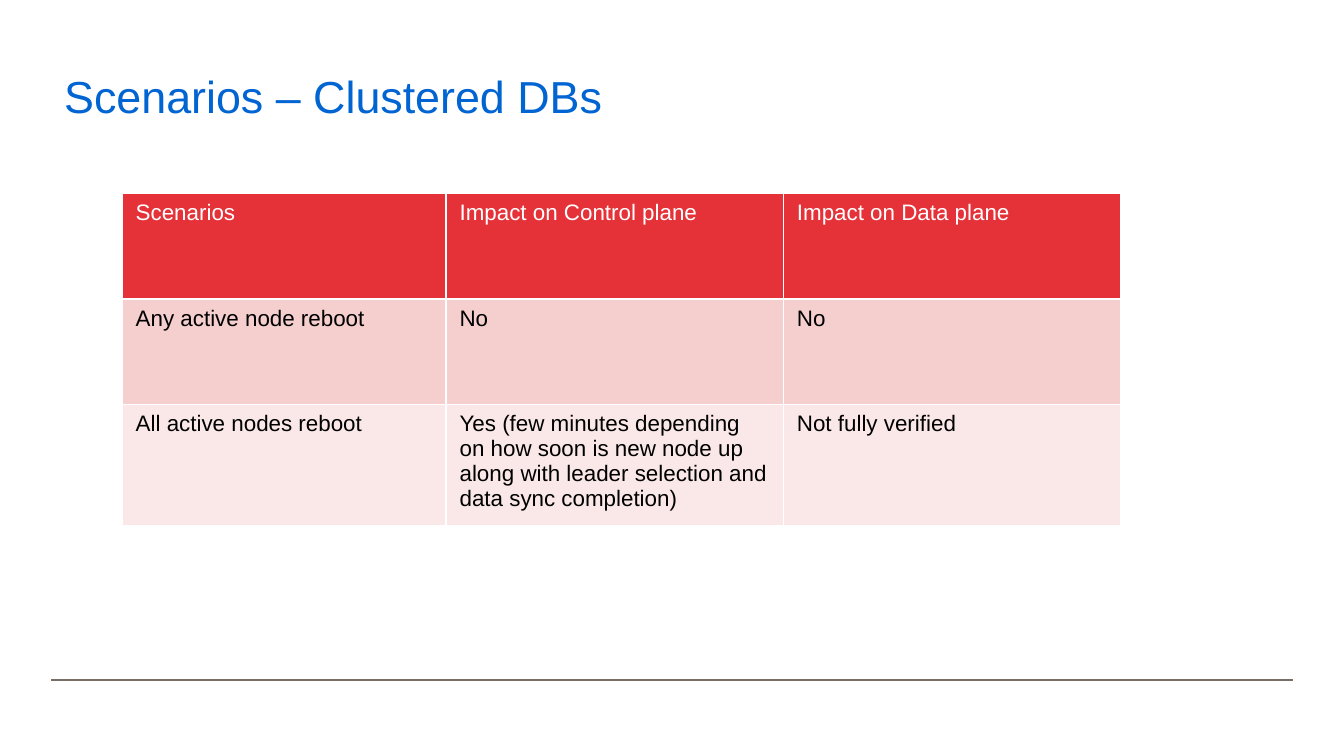
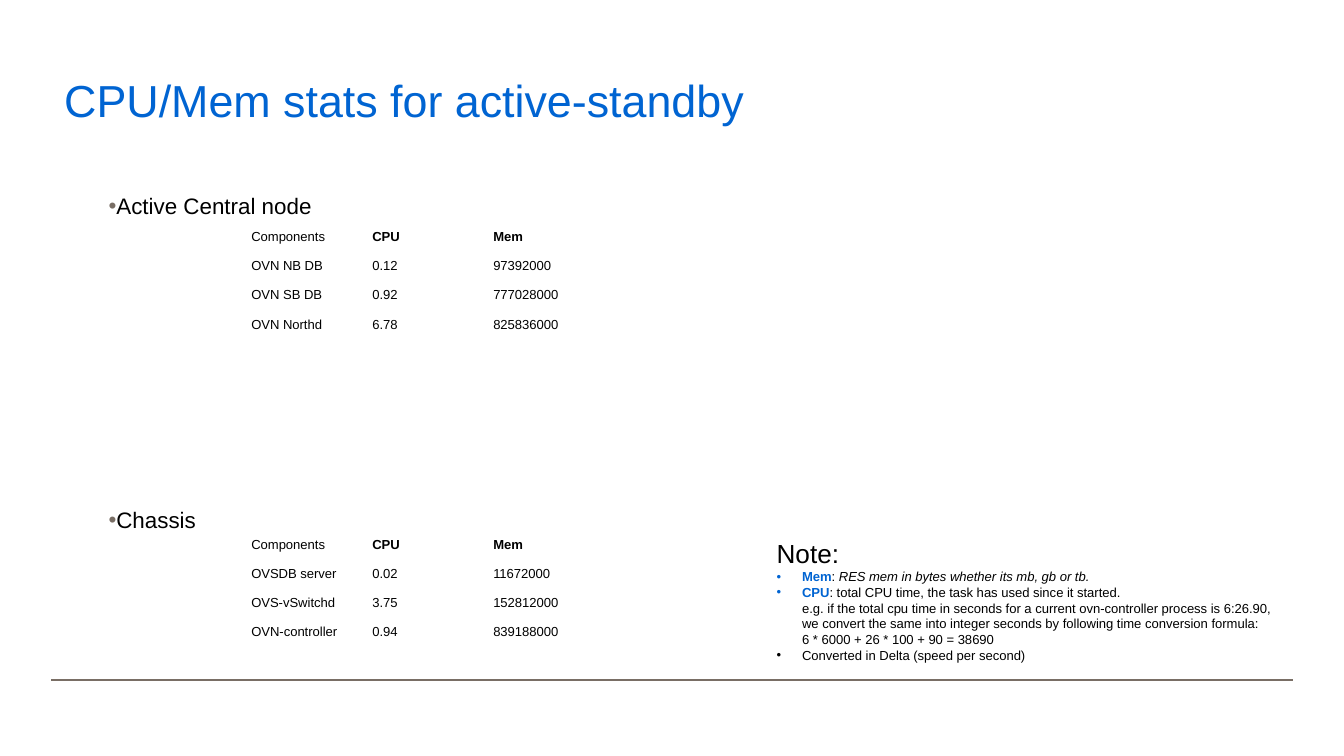
from dataclasses import dataclass
from typing import Any, NamedTuple, Sequence

import lxml.etree
import pptx
import pptx.dml.color
import pptx.enum.shapes
import pptx.enum.text
import pptx.oxml.ns
import pptx.util

FONT = "Arial"
COLORS = {
    "title": "0064D2",
    "rule": "796E65",
    "text": "000000",
    "white": "FFFFFF",
    "header": "E53238",
    "band_dark": "F5CECE",
    "band_light": "FAE8E8",
}
GRID_CELL = 0.1
MARGIN_COL = 3.8
CONTENT_COLS = 92.4


class Area(NamedTuple):
    col: float
    row: float
    cols: float
    rows: float


class Run(NamedTuple):
    text: str
    color: str = "text"
    bold: bool = False
    italic: bool = False


@dataclass(frozen=True)
class Paragraph:
    runs: Sequence[Run]
    size: float
    bullet: bool = False
    bullet_color: str = ""
    margin: float = 0
    indent: float = 0
    space_before: float = 0


@dataclass(frozen=True)
class TableBlock:
    area: Area
    col_widths: Sequence[float]
    row_height: float
    rows: Sequence[Sequence[str]]
    size: float
    fills: Sequence[str] = ()
    header_color: str = "text"
    bold_headers: Sequence[str] = ()


def grid(cells: float) -> int:
    return pptx.util.Inches(cells * GRID_CELL)


def rgb(name: str) -> pptx.dml.color.RGBColor:
    return pptx.dml.color.RGBColor.from_string(COLORS[name])


def sub(parent: Any, tag: str, **attributes: Any) -> Any:
    return lxml.etree.SubElement(
        parent,
        pptx.oxml.ns.qn(tag),
        {key: str(value) for key, value in attributes.items()},
    )


def format_bullet(paragraph: Any, style: Paragraph) -> None:
    properties = paragraph._p.get_or_add_pPr()
    properties.set("marL", str(grid(style.margin)))
    properties.set("indent", str(grid(style.indent)))
    if style.bullet_color:
        sub(sub(properties, "a:buClr"), "a:srgbClr", val=COLORS[style.bullet_color])
    sub(properties, "a:buFont", typeface=FONT)
    sub(properties, "a:buChar", char="•")


def add_text(paragraph: Any, text: str, *, size: float, color: str = "text",
             bold: bool = False, italic: bool = False) -> None:
    for index, line in enumerate(text.split("\n")):
        if index:
            paragraph.add_line_break()
        run = paragraph.add_run()
        run.text = line
        run.font.name = FONT
        run.font.size = pptx.util.Pt(size)
        run.font.bold = bold
        run.font.italic = italic
        run.font.color.rgb = rgb(color)


def add_text_area(slide: Any, area: Area, paragraphs: Sequence[Paragraph], *,
                  top_inset: float = 1.3, side_inset: float = 1,
                  wrap: bool = True) -> None:
    frame = slide.shapes.add_textbox(*map(grid, area)).text_frame
    frame.word_wrap = wrap
    if not wrap:
        frame.auto_size = pptx.enum.text.MSO_AUTO_SIZE.SHAPE_TO_FIT_TEXT
    frame.margin_left = frame.margin_right = grid(side_inset)
    frame.margin_top = grid(top_inset)
    for index, style in enumerate(paragraphs):
        paragraph = frame.add_paragraph() if index else frame.paragraphs[0]
        if style.bullet:
            format_bullet(paragraph, style)
        if style.space_before:
            paragraph.space_before = pptx.util.Pt(style.space_before)
        for run in style.runs:
            add_text(paragraph, run.text, size=style.size, color=run.color,
                     bold=run.bold, italic=run.italic)


def add_borders(cell: Any) -> None:
    properties = cell._tc.get_or_add_tcPr()
    for position, side in enumerate(("L", "R", "T", "B")):
        border = sub(properties, f"a:ln{side}", w=pptx.util.Pt(1))
        sub(sub(border, "a:solidFill"), "a:srgbClr", val=COLORS["white"])
        properties.insert(position, border)


def add_table(slide: Any, block: TableBlock) -> None:
    table = slide.shapes.add_table(
        len(block.rows), len(block.col_widths), *map(grid, block.area)
    ).table
    table.first_row = table.horz_banding = False
    for column, width in zip(table.columns, block.col_widths):
        column.width = grid(width)
    for row_index, labels in enumerate(block.rows):
        table.rows[row_index].height = grid(block.row_height)
        for col_index, label in enumerate(labels):
            cell = table.cell(row_index, col_index)
            if block.fills:
                cell.fill.solid()
                cell.fill.fore_color.rgb = rgb(block.fills[row_index])
                add_borders(cell)
            else:
                cell.fill.background()
            add_text(
                cell.text_frame.paragraphs[0], label, size=block.size,
                color="text" if row_index else block.header_color,
                bold=label in block.bold_headers,
            )


def add_stats(slide: Any, top: float, components: Sequence[Sequence[str]]) -> None:
    add_table(slide, TableBlock(
        area=Area(17.7, top, 27, 8.4),
        col_widths=(9, 9, 9),
        row_height=2.1,
        rows=(("Components", "CPU", "Mem"), *components),
        size=7,
        bold_headers=("CPU", "Mem"),
    ))


def add_page(deck: Any, title: str, title_row: float) -> Any:
    slide = deck.slides.add_slide(deck.slide_layouts[6])
    footer_rule = slide.shapes.add_connector(
        pptx.enum.shapes.MSO_CONNECTOR.STRAIGHT,
        grid(MARGIN_COL), grid(50.6), grid(MARGIN_COL + CONTENT_COLS), grid(50.6),
    )
    footer_rule.line.color.rgb = rgb("rule")
    footer_rule.line.width = pptx.util.Pt(1)
    sub(footer_rule._element.spPr, "a:effectLst")
    add_text_area(slide, Area(MARGIN_COL, title_row, CONTENT_COLS, 7.6),
                  [Paragraph([Run(title, "title")], 24)])
    return slide


def section(name: str, space_before: float = 0) -> Paragraph:
    return Paragraph([Run(name)], 12, bullet=True, bullet_color="rule",
                     margin=1.2, indent=2.1, space_before=space_before)


def note(*runs: Run) -> Paragraph:
    return Paragraph(runs, 7, bullet=True, margin=1.9, indent=-1.9)


def build_scenarios(deck: Any) -> None:
    slide = add_page(deck, "Scenarios – Clustered DBs", 3.8)
    add_table(slide, TableBlock(
        area=Area(9.1, 14.4, 74.2, 23.7),
        col_widths=(24.1, 25.1, 25.1),
        row_height=7.85,
        rows=(
            ("Scenarios", "Impact on Control plane", "Impact on Data plane"),
            ("Any active node reboot", "No", "No"),
            ("All active nodes reboot",
             "Yes (few minutes depending on how soon is new node up along with "
             "leader selection and data sync completion)",
             "Not fully verified"),
        ),
        size=12,
        fills=("header", "band_dark", "band_light"),
        header_color="white",
    ))


def build_stats(deck: Any) -> None:
    slide = add_page(deck, "CPU/Mem stats for active-standby", 4.1)
    add_text_area(slide, Area(MARGIN_COL, 13, CONTENT_COLS, 37.5),
                  [section("Active Central node"), section("Chassis", 154)])
    add_stats(slide, 16.6, (
        ("OVN NB DB", "0.12", "97392000"),
        ("OVN SB DB", "0.92", "777028000"),
        ("OVN Northd", "6.78", "825836000"),
    ))
    add_stats(slide, 39.5, (
        ("OVSDB server", "0.02", "11672000"),
        ("OVS-vSwitchd", "3.75", "152812000"),
        ("OVN-controller", "0.94", "839188000"),
    ))
    add_text_area(slide, Area(56.8, 39.5, 39.4, 10.4), [
        Paragraph([Run("Note:")], 14),
        note(Run("Mem", "title", bold=True), Run(": "),
             Run("RES mem in bytes whether its mb, gb or tb.", italic=True)),
        note(Run("CPU", "title", bold=True),
             Run(": total CPU time, the task has used since it started.\n"
                 "e.g. if the total cpu time in seconds for a current "
                 "ovn-controller process is 6:26.90,\n"
                 "we convert the same into integer seconds by following time "
                 "conversion formula:\n"
                 "6 * 6000 + 26 * 100 + 90 = 38690")),
        note(Run("Converted in Delta (speed per second)")),
    ], top_inset=0.5, wrap=False)


def main() -> None:
    deck = pptx.Presentation()
    deck.slide_width = grid(100)
    deck.slide_height = grid(56.25)
    build_scenarios(deck)
    build_stats(deck)
    deck.save("out.pptx")


if __name__ == "__main__":
    main()
